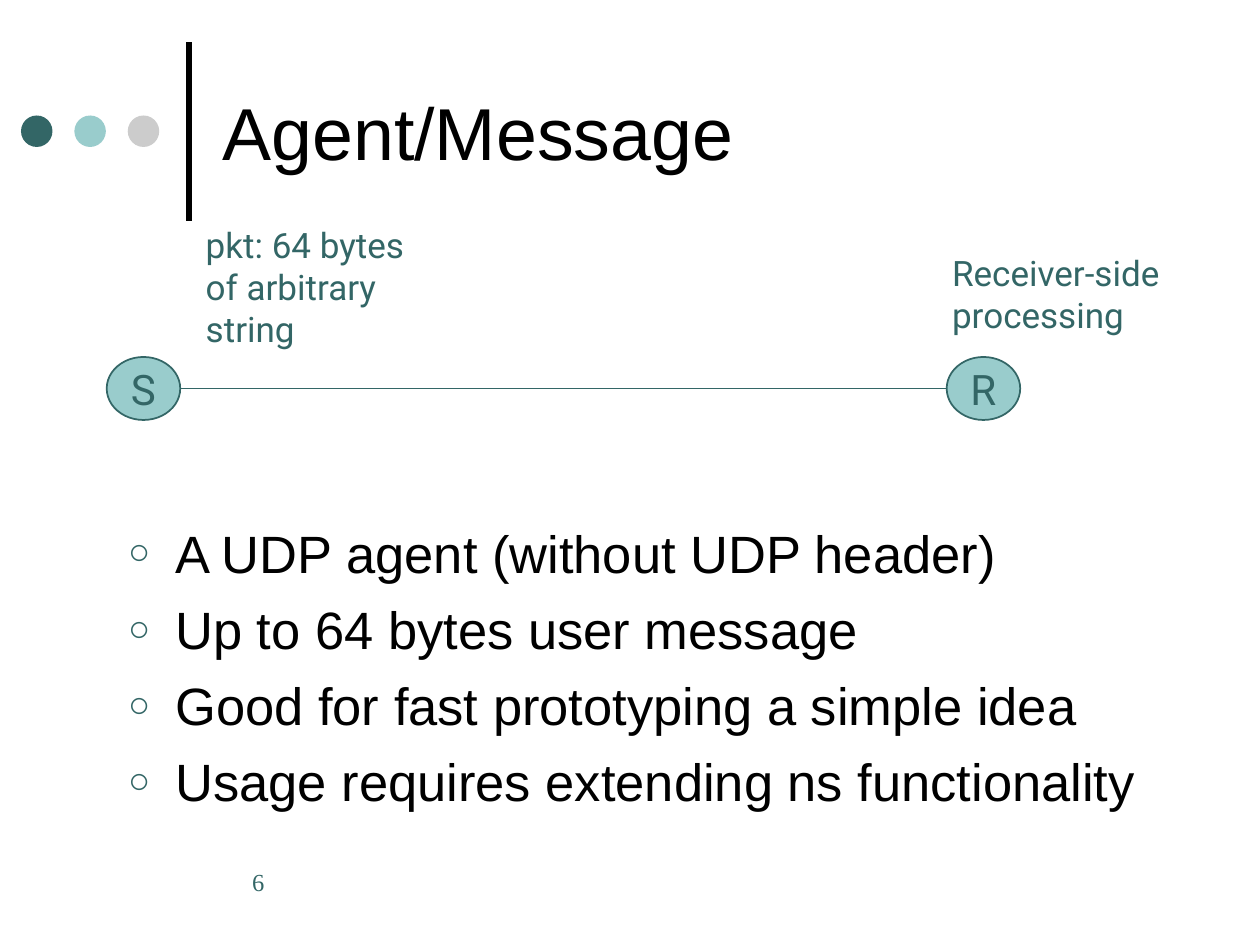
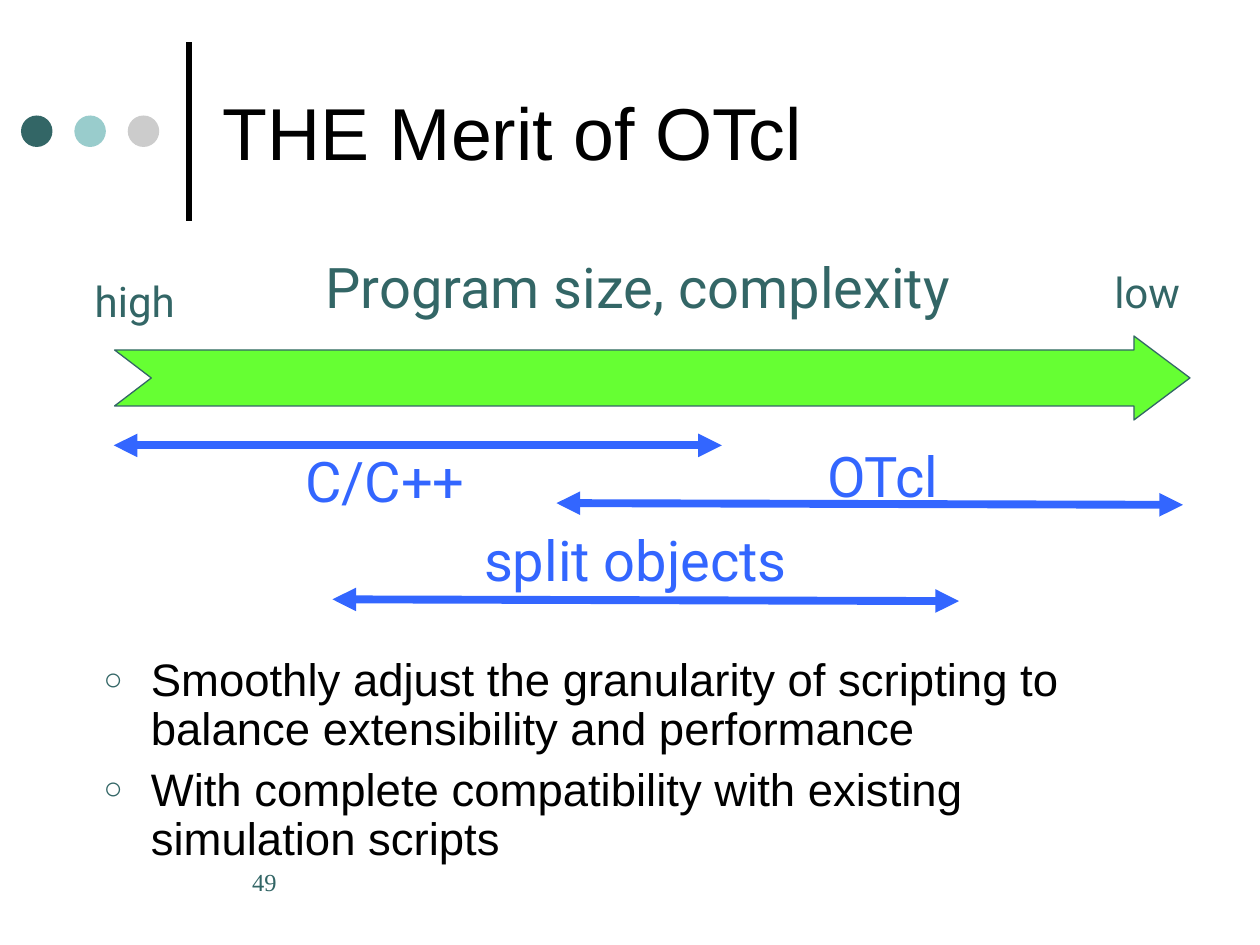
from lxml.etree import SubElement
from pptx import Presentation
from pptx.dml.color import RGBColor
from pptx.enum.shapes import MSO_CONNECTOR, MSO_SHAPE
from pptx.enum.text import MSO_ANCHOR, MSO_AUTO_SIZE, PP_ALIGN
from pptx.oxml.ns import qn
from pptx.util import Pt

COLORS = {
    "black": "000000",
    "teal": "336666",
    "aqua": "99CCCC",
    "gray": "CCCCCC",
    "green": "66FF33",
    "blue": "3366FF",
}
COLORS = {name: RGBColor.from_string(code) for name, code in COLORS.items()}


def write(box, lines, size=20, font="Roboto", color="teal", align=PP_ALIGN.LEFT,
          anchor=MSO_ANCHOR.TOP, wrap=True, indent=0, bullet=None, gap=0, spacing=None):
    """Fill a shape with one paragraph per line."""
    frame = box.text_frame
    frame.auto_size = MSO_AUTO_SIZE.NONE
    frame.word_wrap = wrap
    frame.vertical_anchor = anchor
    for number, line in enumerate(lines):
        para = frame.add_paragraph() if number else frame.paragraphs[0]
        properties = para._p.get_or_add_pPr()
        properties.set("marL", str(Pt(indent)))
        properties.set("indent", str(Pt(-indent if bullet else 0)))
        if bullet:
            tint = SubElement(properties, qn("a:buClr"))
            SubElement(tint, qn("a:srgbClr"), val=str(COLORS["teal"]))
            SubElement(properties, qn("a:buSzPct"), val="70000")
            SubElement(properties, qn("a:buChar"), char=bullet)
        para.alignment = align
        para.space_before = Pt(gap if number else 0)
        if spacing:
            para.line_spacing = spacing
        span = para.add_run()
        span.text = line
        span.font.size = Pt(size)
        span.font.name = font
        span.font.color.rgb = COLORS[color]


def add_line(page, start, end, color, width, arrows=False):
    """Draw a straight line, with a triangle at both ends if asked."""
    line = page.shapes.add_connector(
        MSO_CONNECTOR.STRAIGHT, *[Pt(value) for value in (*start, *end)])
    line.line.color.rgb = COLORS[color]
    line.line.width = Pt(width)
    if arrows:
        for end_tag in ("a:headEnd", "a:tailEnd"):
            SubElement(line.line._get_or_add_ln(), qn(end_tag), type="triangle")
    SubElement(line._element.spPr, qn("a:effectLst"))


deck = Presentation()
deck.slide_width, deck.slide_height = Pt(720), Pt(540)

# Title, list, page number and decoration of both slides
contents = [
    ("Agent/Message", "6", (66, 294, 612, 198),
     ["A UDP agent (without UDP header)",
      "Up to 64 bytes user message",
      "Good for fast prototyping a simple idea",
      "Usage requires extending ns functionality"],
     {"size": 30, "gap": 7.5}),
    ("THE Merit of OTcl", "49", (52, 372, 628, 137.5),
     ["Smoothly adjust the granularity of scripting to balance extensibility and performance",
      "With complete compatibility with existing simulation scripts"],
     {"size": 26, "gap": 6.5, "spacing": 0.9}),
]
for title, page_number, body_place, points, body_format in contents:
    page = deck.slides.add_slide(deck.slide_layouts[1])
    heading, body = page.placeholders
    for box, place in ((heading, (120, 15, 552, 120)), (body, body_place)):
        box.left, box.top, box.width, box.height = [Pt(value) for value in place]
    write(heading, [title], size=42, font="Arial", color="black", anchor=MSO_ANCHOR.MIDDLE)
    write(body, points, font="Arial", color="black", indent=27, bullet="○", **body_format)

    add_line(page, (108, 126), (108, 24), "black", 3)
    for index, color in enumerate(("teal", "aqua", "gray")):
        dot = page.shapes.add_shape(
            MSO_SHAPE.OVAL, Pt(12 + 30.5 * index), Pt(66), Pt(18), Pt(18))
        dot.shadow.inherit = False
        dot.fill.solid()
        dot.fill.fore_color.rgb = COLORS[color]
        dot.line.fill.background()

    number_box = page.shapes.add_textbox(Pt(120), Pt(492), Pt(102), Pt(36))
    write(number_box, [page_number], size=14, font="Times New Roman", indent=17)

message_page, merit_page = deck.slides

# Sender and receiver joined by a link
for letter, left in (("S", 61), ("R", 541)):
    node = message_page.shapes.add_shape(MSO_SHAPE.OVAL, Pt(left), Pt(204), Pt(42), Pt(36))
    node.shadow.inherit = False
    node.fill.solid()
    node.fill.fore_color.rgb = COLORS["aqua"]
    node.line.color.rgb = COLORS["teal"]
    node.line.width = Pt(1)
    write(node, [letter], size=24, align=PP_ALIGN.CENTER,
          anchor=MSO_ANCHOR.MIDDLE, wrap=False)
add_line(message_page, (103, 222), (541, 222), "teal", 1)

for lines, left, top, height in (
    (["pkt: 64 bytes", "of arbitrary string"], 110.5, 124, 79),
    (["Receiver-side", "processing"], 537, 140, 55),
):
    note = message_page.shapes.add_textbox(Pt(left), Pt(top), Pt(147), Pt(height))
    write(note, lines)

# Notched arrow for the complexity scale
outline = [(65.5, 200), (648, 200), (648, 192), (680, 216), (648, 240),
           (648, 232), (65.5, 232), (86.5, 216)]
corners = [(Pt(x), Pt(y)) for x, y in outline]
builder = merit_page.shapes.build_freeform(*corners[0])
builder.add_line_segments(corners[1:], close=True)
scale_arrow = builder.convert_to_shape()
scale_arrow.shadow.inherit = False
scale_arrow.fill.solid()
scale_arrow.fill.fore_color.rgb = COLORS["green"]
scale_arrow.line.color.rgb = COLORS["teal"]
scale_arrow.line.width = Pt(0.75)

# Ranges covered by each language
for start, end in (
    ((65, 254.5), (412.5, 254.5)),
    ((318, 287.5), (676, 288.5)),
    ((190, 342.5), (548, 343.5)),
):
    add_line(merit_page, start, end, "blue", 4.5, arrows=True)

# Labels of the scale and the ranges
for text, left, top, width, size, color in (
    ("Program size, complexity", 168, 141, 393, 32, "teal"),
    ("high", 44.5, 154, 65, 24, "teal"),
    ("low", 628.5, 149, 54, 24, "teal"),
    ("C/C++", 152.5, 251.5, 135, 32, "blue"),
    ("OTcl", 464, 248.5, 81, 32, "blue"),
    ("split objects", 261, 297, 204.5, 32, "blue"),
):
    label = merit_page.shapes.add_textbox(Pt(left), Pt(top), Pt(width), Pt(size * 1.44))
    write(label, [text], size=size, color=color, align=PP_ALIGN.CENTER, wrap=False)

deck.save("out.pptx")
